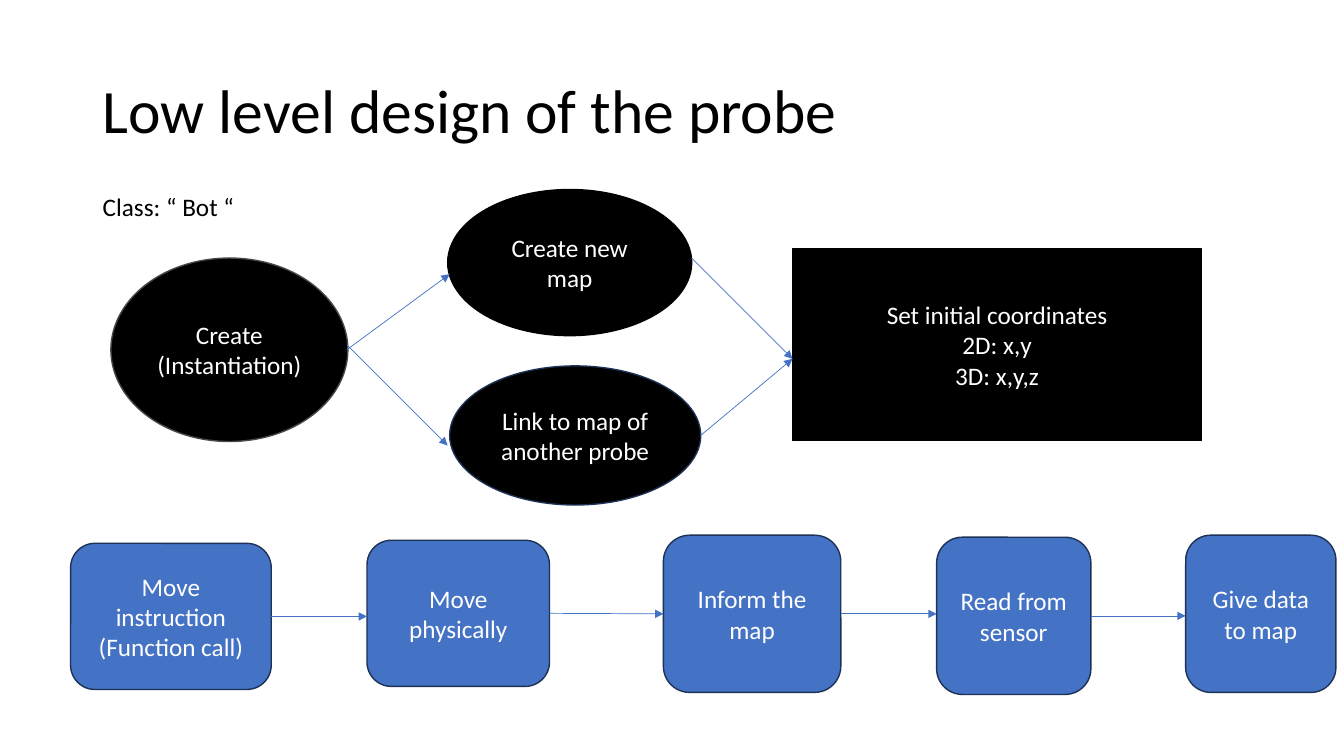
"""Build a slide with the low level design of a probe."""
import lxml.etree
import pptx
import pptx.dml.color
import pptx.enum.shapes
import pptx.enum.text
import pptx.oxml.ns
import pptx.util

Inches = pptx.util.Inches
RGBColor = pptx.dml.color.RGBColor
SHAPES = pptx.enum.shapes.MSO_SHAPE
ALIGN = pptx.enum.text.PP_ALIGN
ANCHOR = pptx.enum.text.MSO_ANCHOR

BLACK = RGBColor(0x00, 0x00, 0x00)
WHITE = RGBColor(0xFF, 0xFF, 0xFF)
GRAY = RGBColor(0x48, 0x48, 0x48)
BLUE = RGBColor(0x44, 0x72, 0xC4)
NAVY = RGBColor(0x1E, 0x32, 0x56)
FONT = "Calibri"


def write_text(frame, lines, size, color, alignment):
    """Fill a text frame with one paragraph per line."""
    for index, line in enumerate(lines):
        paragraph = frame.paragraphs[0] if index == 0 else frame.add_paragraph()
        paragraph.alignment = alignment
        run = paragraph.add_run()
        run.text = line
        run.font.name = FONT
        run.font.size = pptx.util.Pt(size)
        run.font.color.rgb = color


def add_label(slide, box, text, size, wrap, anchor):
    """Add a text box with one left-aligned line and return its frame."""
    label = slide.shapes.add_textbox(*map(Inches, box))
    frame = label.text_frame
    frame.word_wrap = wrap
    frame.vertical_anchor = anchor
    write_text(frame, [text], size, BLACK, ALIGN.LEFT)
    return frame


def add_node(slide, kind, box, lines, fill, outline):
    """Add a filled shape with centred white text."""
    shape = slide.shapes.add_shape(kind, *map(Inches, box))
    shape.shadow.inherit = False
    shape.fill.solid()
    shape.fill.fore_color.rgb = fill
    shape.line.color.rgb = outline
    shape.line.width = pptx.util.Pt(1)
    shape.text_frame.word_wrap = True
    shape.text_frame.vertical_anchor = ANCHOR.MIDDLE
    write_text(shape.text_frame, lines, 18, WHITE, ALIGN.CENTER)
    return shape


def add_arrow(slide, start, end):
    """Add a thin blue arrow between two points."""
    arrow = slide.shapes.add_connector(
        pptx.enum.shapes.MSO_CONNECTOR.STRAIGHT, *start, *end)
    arrow.line.color.rgb = BLUE
    arrow.line.width = pptx.util.Pt(0.5)
    qualified = pptx.oxml.ns.qn
    line = arrow.line._get_or_add_ln()
    lxml.etree.SubElement(line, qualified("a:tailEnd"), type="triangle")
    lxml.etree.SubElement(arrow._element.spPr, qualified("a:effectLst"))
    return arrow


def add_heading(slide, left, top):
    """Place the title and the class name below it."""
    title = add_label(slide, (left, top, 11.5, 1.45),
                      "Low level design of the probe", 44, True, ANCHOR.MIDDLE)
    title.paragraphs[0].line_spacing = 0.9
    add_label(slide, (left, top + 1.45, 1.51, 0.71),
              "Class: “ Bot “", 18, False, ANCHOR.TOP)


def add_creation_flow(slide, left, top):
    """Place the branching steps that create a probe."""
    nodes = [
        (SHAPES.OVAL, (0, 0.68, 2.35, 1.82), ["Create", "(Instantiation)"], GRAY),
        (SHAPES.OVAL, (3.34, 0, 2.42, 1.45), ["Create new map"], BLACK),
        (SHAPES.OVAL, (3.36, 1.75, 2.49, 1.38), ["Link to map of another probe"], NAVY),
        (SHAPES.RECTANGLE, (6.76, 0.59, 4.06, 1.9),
         ["Set initial coordinates", "2D: x,y", "3D: x,y,z"], BLACK),
    ]
    for kind, (x, y, width, height), lines, outline in nodes:
        add_node(slide, kind, (left + x, top + y, width, height), lines, BLACK, outline)
    arrows = [
        ((2.34, 1.59), (3.36, 0.84)),
        ((2.34, 1.54), (3.34, 2.54)),
        ((5.76, 0.68), (6.76, 1.68)),
        ((5.85, 2.44), (6.76, 1.68)),
    ]
    for ends in arrows:
        add_arrow(slide, *[(Inches(left + x), Inches(top + y)) for x, y in ends])


def add_movement_flow(slide, left, top):
    """Place the row of movement steps, each with an arrow to the next."""
    steps = [
        (0, 0.08, 1.99, 1.45, ["Move instruction", "(Function call)"]),
        (2.94, 0.05, 1.81, 1.45, ["Move physically"]),
        (5.88, 0, 1.76, 1.56, ["Inform the map"]),
        (8.59, 0.02, 1.53, 1.56, ["Read from sensor"]),
        (11.06, 0, 1.49, 1.56, ["Give data to map"]),
    ]
    nodes = [
        add_node(slide, SHAPES.ROUNDED_RECTANGLE,
                 (left + x, top + y, width, height), lines, BLUE, NAVY)
        for x, y, width, height, lines in steps
    ]
    for node, following in zip(nodes, nodes[1:]):
        middle = node.top + node.height // 2
        arrow = add_arrow(slide, (node.left + node.width, middle),
                          (following.left, middle))
        arrow.begin_connect(node, 3)
        if abs(following.top + following.height // 2 - middle) < Inches(0.01):
            arrow.end_connect(following, 1)


def main():
    """Create the presentation and save it."""
    presentation = pptx.Presentation()
    presentation.slide_width = Inches(13.33)
    presentation.slide_height = Inches(7.5)
    slide = presentation.slides.add_slide(presentation.slide_layouts[6])
    add_heading(slide, 0.92, 0.4)
    add_creation_flow(slide, 1.1, 1.88)
    add_movement_flow(slide, 0.7, 5.31)
    presentation.save("out.pptx")


if __name__ == "__main__":
    main()
